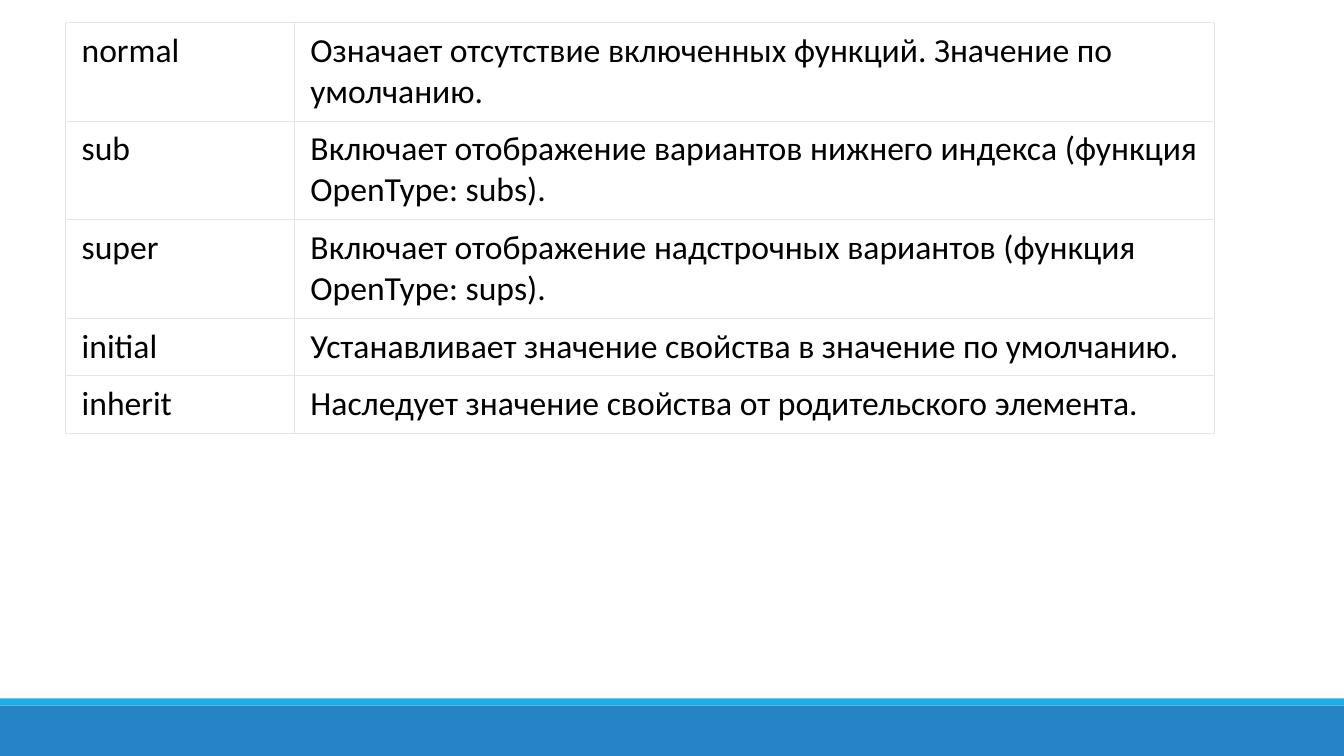
from lxml.etree import SubElement
from pptx import Presentation
from pptx.dml.color import RGBColor
from pptx.enum.shapes import MSO_SHAPE
from pptx.oxml.ns import qn
from pptx.util import Inches, Pt

BLACK = RGBColor(0x00, 0x00, 0x00)
WHITE = RGBColor(0xFF, 0xFF, 0xFF)
BLUE = RGBColor(0x26, 0x83, 0xC6)
CYAN = RGBColor(0x1C, 0xAD, 0xE4)
GRAY = RGBColor(0xE6, 0xE6, 0xE6)

ONE_LINE, TWO_LINES = 0.57, 0.98
VALUES = [
    ("normal", "Означает отсутствие включенных функций. Значение по умолчанию.", TWO_LINES),
    ("sub", "Включает отображение вариантов нижнего индекса (функция OpenType: subs).", TWO_LINES),
    ("super", "Включает отображение надстрочных вариантов (функция OpenType: sups).", TWO_LINES),
    ("initial", "Устанавливает значение свойства в значение по умолчанию.", ONE_LINE),
    ("inherit", "Наследует значение свойства от родительского элемента.", ONE_LINE),
]


def write_text(frame, text, font="Calibri", size=24, color=BLACK):
    """Put formatted text in the first paragraph of a text frame."""
    run = frame.paragraphs[0].add_run()
    run.text = text
    run.font.name = font
    run.font.size = Pt(size)
    run.font.color.rgb = color


class SlideBuilder:
    """Draw styled elements on the current slide."""

    def __init__(self, slide, border_color=GRAY, border_width=0.75):
        self.slide = slide
        self.border_color = border_color
        self.border_width = border_width

    def bar(self, top, height, color):
        """Add a full-width bar."""
        shape = self.slide.shapes.add_shape(
            MSO_SHAPE.RECTANGLE, 0, Inches(top), Inches(13.33), Inches(height))
        shape.shadow.inherit = False
        shape.fill.solid()
        shape.fill.fore_color.rgb = color
        shape.line.fill.background()

    def cell(self, cell, text):
        """Fill one table cell with text, margins and borders."""
        cell.margin_left = cell.margin_right = Inches(0.16)
        cell.margin_top = cell.margin_bottom = Inches(0.08)
        write_text(cell.text_frame, text)
        properties = cell._tc.get_or_add_tcPr()
        for side in ("a:lnL", "a:lnR", "a:lnT", "a:lnB"):
            line = SubElement(properties, qn(side), w=str(Pt(self.border_width)))
            fill = SubElement(line, qn("a:solidFill"))
            SubElement(fill, qn("a:srgbClr"), val=str(self.border_color))
        cell.fill.solid()
        cell.fill.fore_color.rgb = WHITE

    def table(self, left, top, widths, rows):
        """Add a table of value names and descriptions."""
        height = sum(row[-1] for row in rows)
        table = self.slide.shapes.add_table(
            len(rows), len(widths), Inches(left), Inches(top),
            Inches(sum(widths)), Inches(height)).table
        table.first_row = table.horz_banding = False
        for column, width in zip(table.columns, widths):
            column.width = Inches(width)
        for table_row, (name, description, row_height) in zip(table.rows, rows):
            table_row.height = Inches(row_height)
            for cell, text in zip(table_row.cells, (name, description)):
                self.cell(cell, text)


def main():
    """Build and save the slide."""
    presentation = Presentation()
    presentation.slide_width = Inches(13.33)
    presentation.slide_height = Inches(7.5)
    slide = presentation.slides.add_slide(presentation.slide_layouts[6])
    builder = SlideBuilder(slide)
    builder.bar(7, 0.5, BLUE)
    builder.bar(6.93, 0.07, CYAN)
    builder.table(0.65, 0.22, (2.27, 9.13), VALUES)
    presentation.save("out.pptx")


if __name__ == "__main__":
    main()
